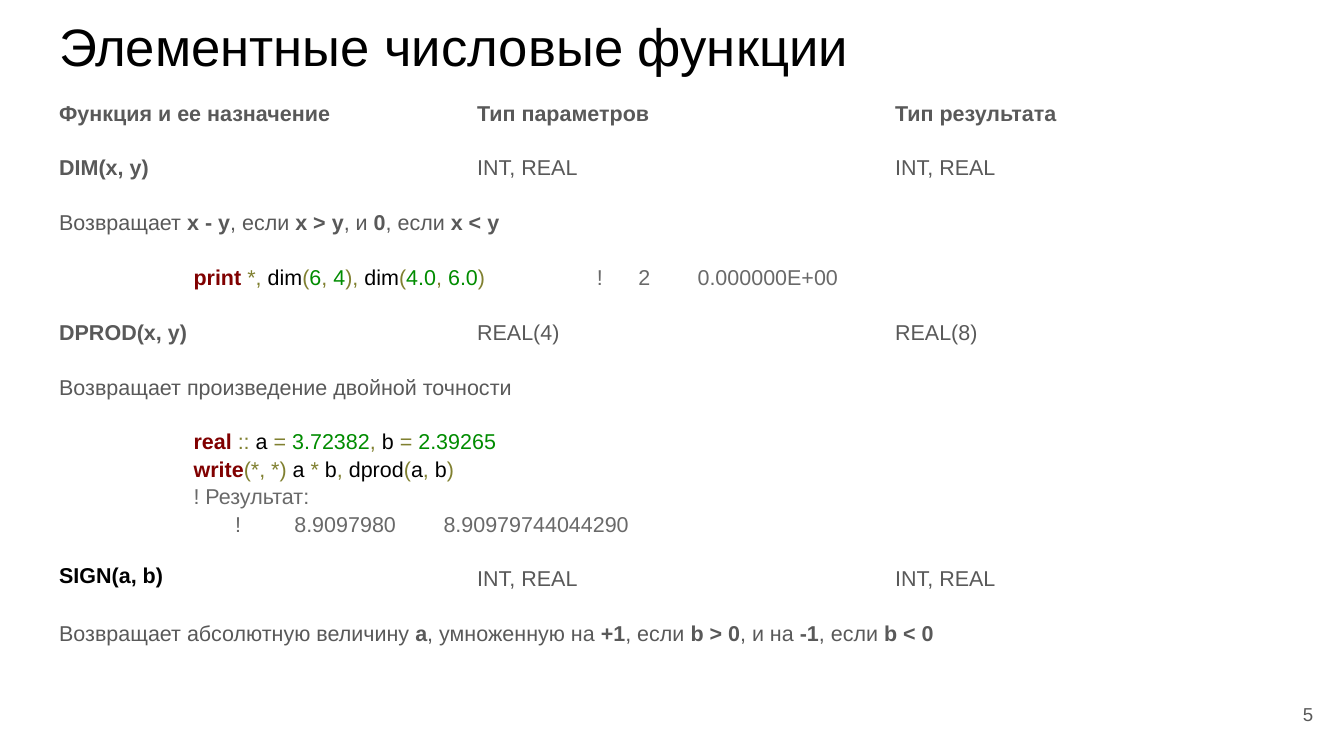
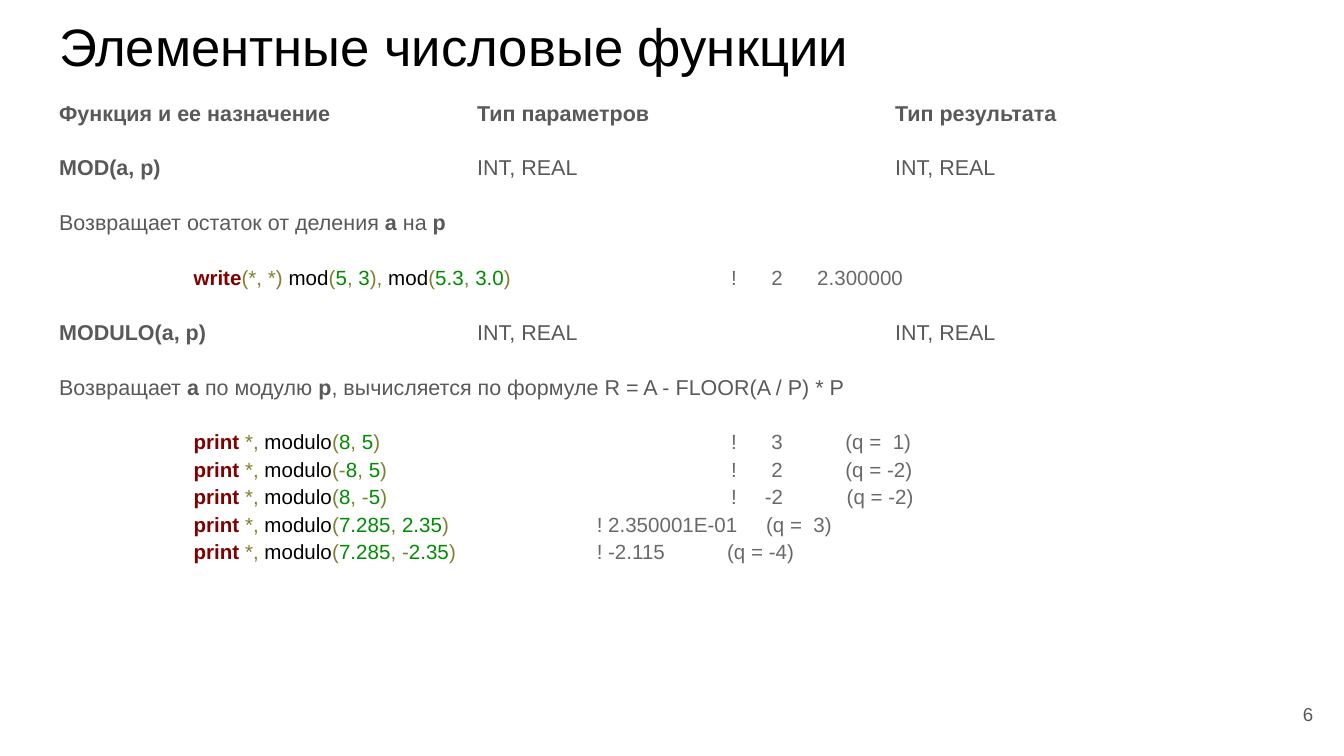
import itertools
import pptx
import pptx.dml.color
import pptx.enum.text
import pptx.oxml.ns
import pptx.util
from lxml import etree

Inches = pptx.util.Inches
ALIGN = pptx.enum.text.PP_ALIGN
ANCHOR = pptx.enum.text.MSO_ANCHOR

# Content: a tuple is a row of cells, a string is prose with |bold| parts,
# a list holds code lines as (code, [(tab stop, output text), ...])
TITLE = "Элементные числовые функции"
HEAD = ("Функция и ее назначение", "Тип параметров", "Тип результата")
BOTH = ("INT, REAL", "INT, REAL")
DARK = "SIGN(a, b)"
SLIDES = [
    {"page": "5", "code": 11.5, "rows": [
        ("DIM(x, y)", *BOTH),
        "Возвращает |x - y|, если |x > y|, и |0|, если |x < y|",
        [("print *, dim(6, 4), dim(4.0, 6.0)",
          [(4, "!"), (4.31, "2"), (4.75, "0.000000E+00")])],
        ("DPROD(x, y)", "REAL(4)", "REAL(8)"),
        "Возвращает произведение двойной точности",
        [("real :: a = 3.72382, b = 2.39265", []),
         ("write(*, *) a * b, dprod(a, b)", []),
         ("", [(1, "! Результат:")]),
         ("", [(1.31, "!"), (1.75, "8.9097980"),
               (2.86, "8.90979744044290")])],
        (DARK, *BOTH),
        "Возвращает абсолютную величину |a|, умноженную на |+1|, "
        "если |b > 0|, и на |-1|, если |b < 0|",
    ]},
    {"page": "6", "code": 11, "rows": [
        ("MOD(a, p)", *BOTH),
        "Возвращает остаток от деления |a |на |p|",
        [("write(*, *) mod(5, 3), mod(5.3, 3.0)",
          [(5, "!"), (5.3, "2"), (5.64, "2.300000")])],
        ("MODULO(a, p)", *BOTH),
        "Возвращает |a| по модулю |p|, вычисляется по формуле "
        "R = A - FLOOR(A / P) * P",
        [("print *, modulo(8, 5)",
          [(5, "!"), (5.3, "3"), (5.85, "(q =  1)")]),
         ("print *, modulo(-8, 5)",
          [(5, "!"), (5.3, "2"), (5.85, "(q = -2)")]),
         ("print *, modulo(8, -5)",
          [(5, "!"), (5.25, "-2"), (5.86, "(q = -2)")]),
         ("print *, modulo(7.285, 2.35)",
          [(4, "! 2.350001E-01"), (5.26, "(q =  3)")]),
         ("print *, modulo(7.285, -2.35)",
          [(4, "! -2.115"), (4.97, "(q = -4)")])],
    ]},
]
KEYS = {"print", "write", "real"}


# Theme and layout
class Theme:
    font = "Arial"
    title, body, page = 28.2, 11.5, 10
    black, gray, note = "000000", "595959", "696969"
    key, sign, num = "800000", "808030", "008C00"


WIDE = Inches(10)
HIGH = WIDE * 9 // 16
LEFT, TOP, COL, PAD = 0.34, 0.63, 3.11, 0.1
ROW, TALL = 0.39, 0.41
INDENT, LEAD = 1, 1.15
BARE = "{2D5ABB26-0587-4C30-8999-92F81FD0307C}"


def put(para, text, size=Theme.body, color=Theme.gray, bold=False):
    run = para.add_run()
    run.text = text
    font = run.font
    font.name, font.size, font.bold = Theme.font, pptx.util.Pt(size), bold
    font.color.rgb = pptx.dml.color.RGBColor.from_string(color)


def frame(box, anchor):
    text = box.text_frame
    text.word_wrap = True
    text.auto_size = pptx.enum.text.MSO_AUTO_SIZE.NONE
    text.vertical_anchor = anchor
    text.margin_left = text.margin_right = Inches(PAD)
    text.margin_top = text.margin_bottom = Inches(PAD)
    return text.paragraphs[0]


def prose(cell, text, bold=False):
    para = cell.text_frame.paragraphs[0]
    if text == DARK:
        put(para, text, color=Theme.black, bold=True)
        return
    para.line_spacing, para.space_after = LEAD, pptx.util.Pt(6)
    for i, part in enumerate(text.split("|")):
        if part:
            put(para, part, bold=bold or i % 2 == 1)


# Code: syntax colours and tab stops
def kind(char):
    if char.isalpha() or char == " ":
        return Theme.black
    return Theme.num if char.isdigit() or char == "." else Theme.sign


def stops(para, places):
    tabs = etree.SubElement(para._p.get_or_add_pPr(),
                            pptx.oxml.ns.qn("a:tabLst"))
    for place in places:
        etree.SubElement(tabs, pptx.oxml.ns.qn("a:tab"),
                         pos=str(Inches(place)), algn="l")


def listing(cell, lines, size):
    text = cell.text_frame
    for i, (code, notes) in enumerate(lines):
        para = text.add_paragraph() if i else text.paragraphs[0]
        para.line_spacing = LEAD
        first = [INDENT] if code else []
        stops(para, first + [place for place, _ in notes])
        if code:
            put(para, "\t")
        for color, chars in itertools.groupby(code, kind):
            word = "".join(chars)
            key = word.strip() in KEYS
            put(para, word, size=size, bold=key,
                color=Theme.key if key else color)
        for _, note in notes:
            put(para, "\t")
            put(para, note, size=size, color=Theme.note)


def grid(slide, rows, size):
    shape = slide.shapes.add_table(
        len(rows), len(HEAD), Inches(LEFT), Inches(TOP),
        Inches(COL * len(HEAD)), Inches(ROW * len(rows)))
    table = shape.table
    table.first_row = table.horz_banding = False
    style = shape._element.find(".//" + pptx.oxml.ns.qn("a:tableStyleId"))
    style.text = BARE
    for col in table.columns:
        col.width = Inches(COL)
    for r, line in enumerate(table.rows):
        line.height = Inches(TALL if r in (2, 3, 4) else ROW)
    for cell in table.iter_cells():
        cell.fill.background()
        cell.margin_left = cell.margin_right = Inches(PAD)
        cell.margin_top = cell.margin_bottom = Inches(PAD)
    for r, row in enumerate(rows):
        cell = table.cell(r, 0)
        if isinstance(row, tuple):
            for c, text in enumerate(row):
                prose(table.cell(r, c), text, bold=r == 0 or c == 0)
            continue
        cell.merge(table.cell(r, len(HEAD) - 1))
        if isinstance(row, str):
            prose(cell, row)
        else:
            listing(cell, row, size)


def build(deck, data):
    slide = deck.slides.add_slide(deck.slide_layouts[5])
    # Title
    title = slide.shapes.title
    title.left, title.top = Inches(LEFT), Inches(0)
    title.width, title.height = Inches(9.32), Inches(TOP)
    para = frame(title, ANCHOR.TOP)
    para.alignment = ALIGN.LEFT
    put(para, TITLE, size=Theme.title, color=Theme.black)
    # Page number
    page = slide.shapes.add_textbox(Inches(9.27), Inches(5.1),
                                    Inches(0.6), Inches(0.43))
    para = frame(page, ANCHOR.MIDDLE)
    para.alignment = ALIGN.RIGHT
    put(para, data["page"], size=Theme.page)
    # Function table
    grid(slide, [HEAD] + data["rows"], data["code"])


def main():
    deck = pptx.Presentation()
    deck.slide_width, deck.slide_height = WIDE, HIGH
    for data in SLIDES:
        build(deck, data)
    deck.save("out.pptx")


if __name__ == "__main__":
    main()
